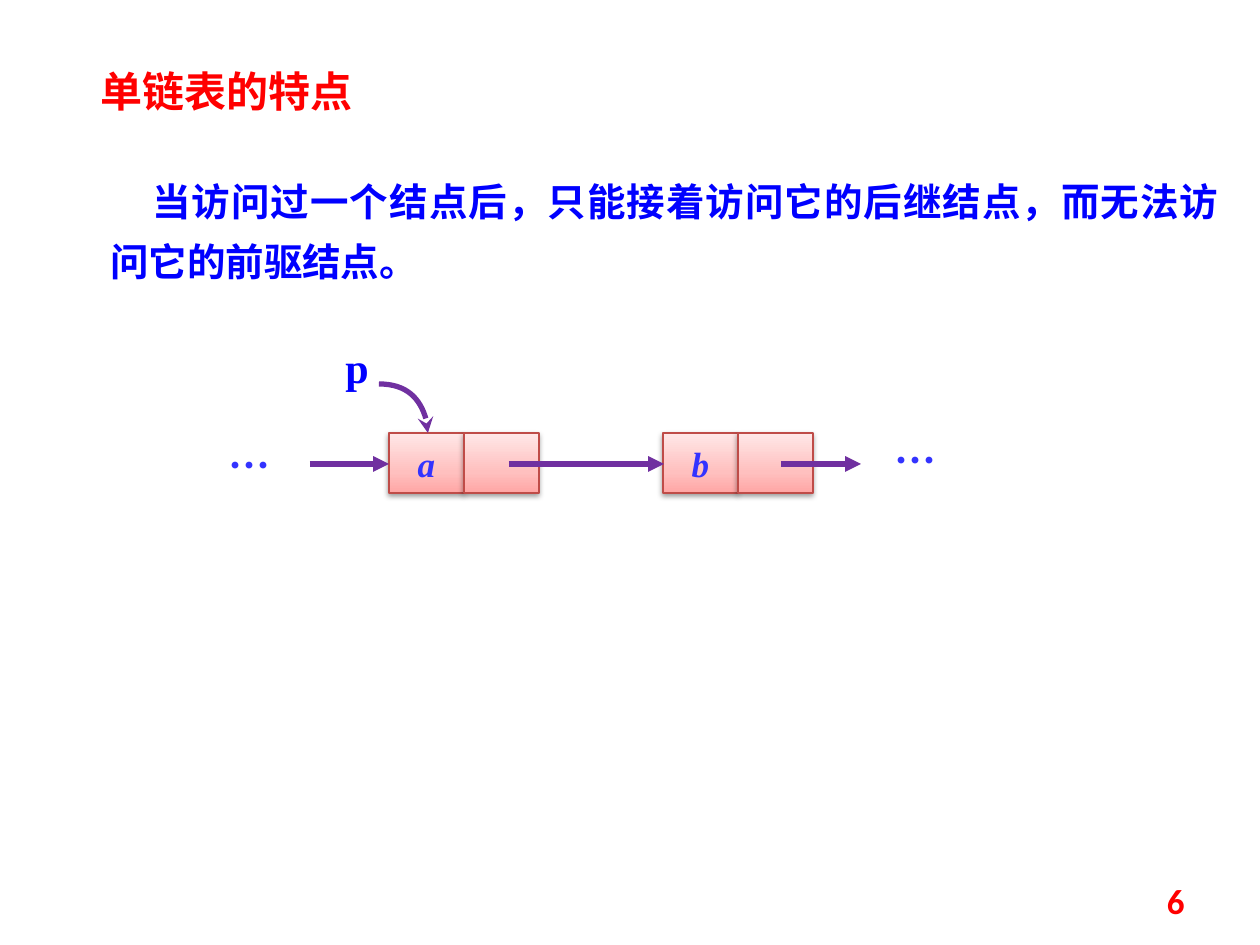
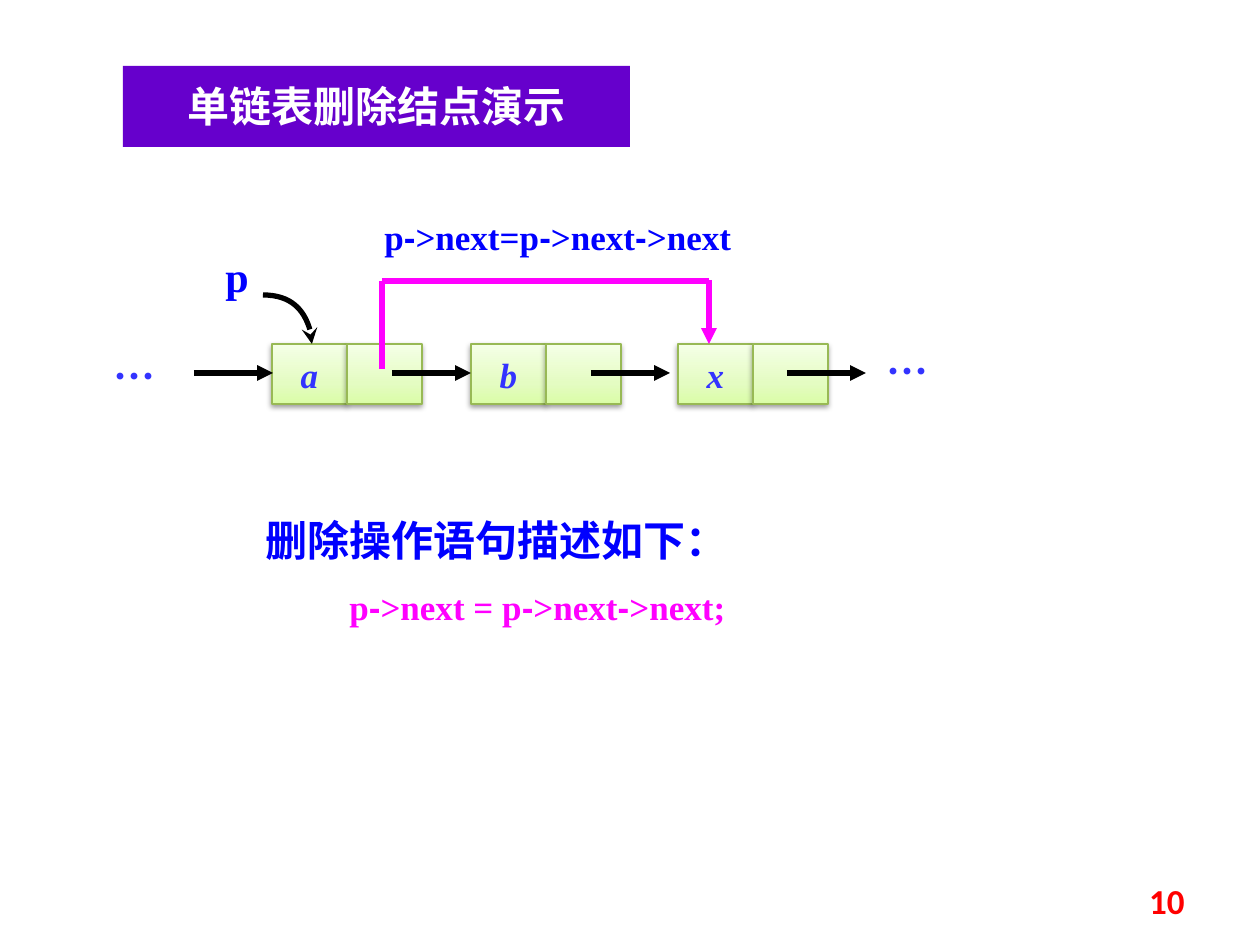
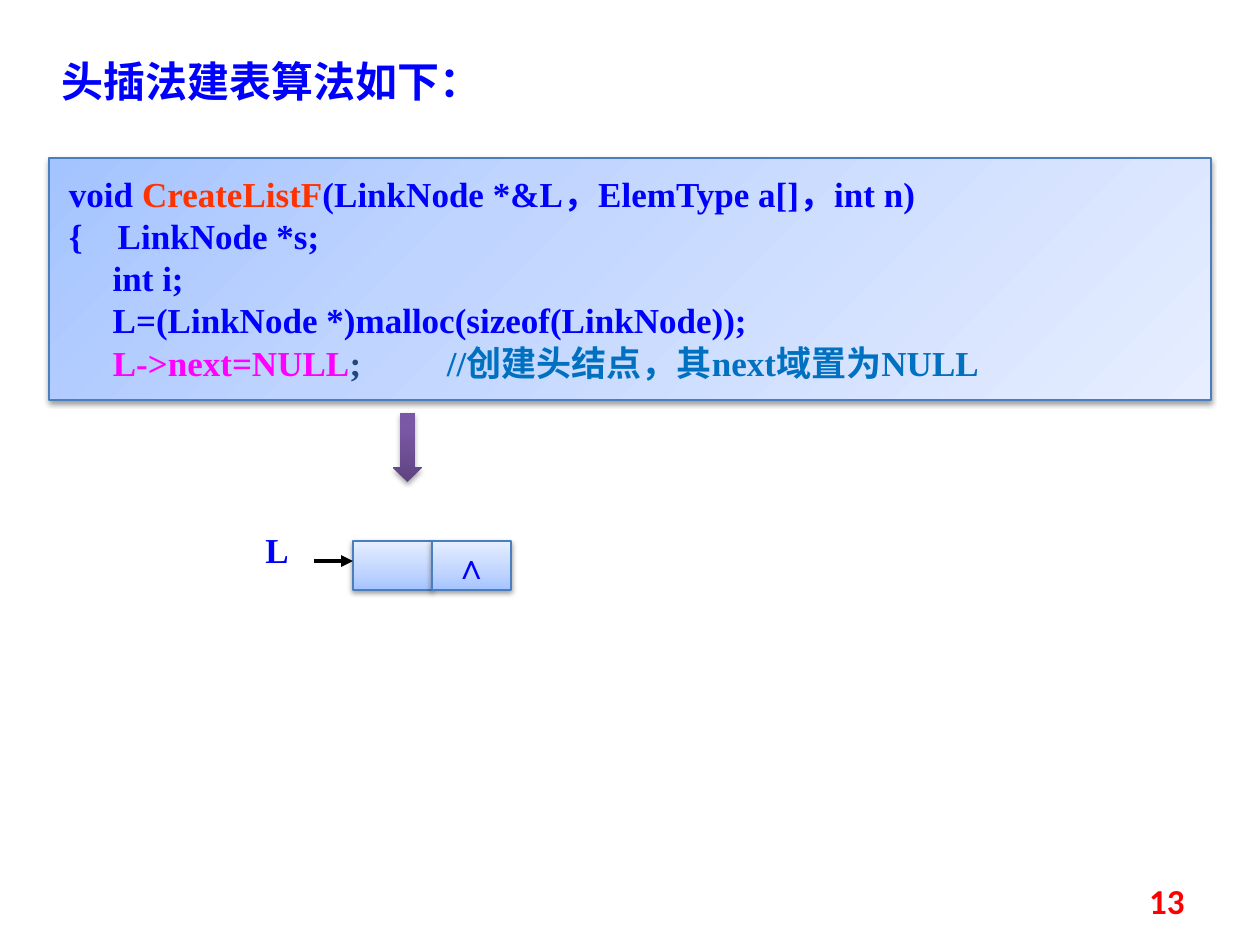
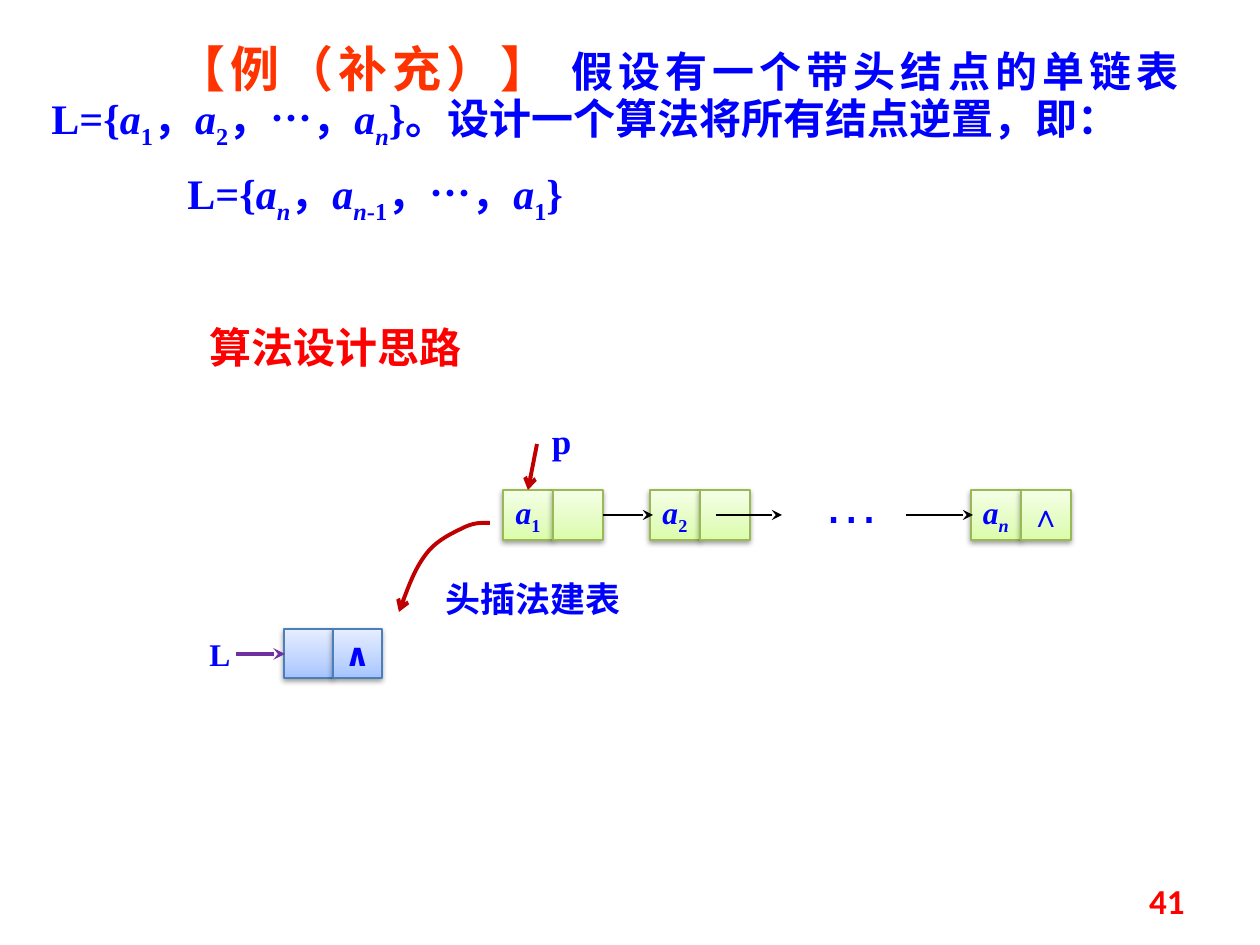
from dataclasses import dataclass, field, replace

from lxml.etree import SubElement
from pptx import Presentation
from pptx.dml.color import RGBColor
from pptx.enum.shapes import MSO_CONNECTOR, MSO_SHAPE
from pptx.enum.text import MSO_ANCHOR, PP_ALIGN
from pptx.oxml import parse_xml
from pptx.oxml.ns import nsdecls, qn
from pptx.util import Pt

PX = 914400 / 126
SLIDE_SIZE = (1260, 945)
LEFT, CENTER, RIGHT, JUSTIFY = PP_ALIGN.LEFT, PP_ALIGN.CENTER, PP_ALIGN.RIGHT, PP_ALIGN.JUSTIFY
CJK, SERIF, SANS = "Noto Sans CJK SC", "Times New Roman", "Arial"


class Theme:
    blue, node_blue, sky, navy = "0000FF", "3333FF", "0070C0", "1F497D"
    red, orange, dark_red = "FF0000", "FF3300", "C00000"
    magenta, purple, violet = "FF00FF", "7030A0", "6600CC"
    black, white = "000000", "FFFFFF"
    lead, title, body, code, small, dots = 28, 24, 22, 20, 18, 32
    thick, medium, thin = 3, 2.25, 0.75
    # name: (gradient stops, outline, shadow opacity in %)
    surfaces = {
        "pink": (((0, "FFA6A5"), (35, "FFC0BF"), (100, "FFE7E7")), "BF4C48", 38),
        "green": (((0, "DAFDA7"), (35, "E4FCC2"), (100, "F5FFE7")), "98B955", 38),
        "blue": (((0, "A4C4FF"), (35, "BFD4FF"), (100, "E6EEFF")), "4B7EBC", 38),
        "plum": (((0, "5F4480"), (80, "7B58A6"), (100, "7C57A8")), None, 35),
    }


@dataclass(frozen=True)
class Style:
    size: float
    color: str
    font: str = CJK
    east: str = CJK
    bold: bool = True
    italic: bool = False
    sub: bool = False


@dataclass
class Para:
    runs: list
    align: PP_ALIGN = LEFT
    spacing: object = None
    before: int = 0
    indent: int = 0


@dataclass
class Page:
    number: int
    nodes: list      # left, top, cell width, height, surface, data runs, link runs
    arrows: list     # x1, y1, x2, y2, colour, width, arrowhead
    curves: list     # points of a cubic path, colour, width, arrowhead
    labels: list     # box, paragraphs
    panels: list = field(default_factory=list)  # preset, box, surface, inset, paragraphs


def write(frame, paras):
    for index, para in enumerate(paras):
        paragraph = frame.paragraphs[0] if index == 0 else frame.add_paragraph()
        paragraph.alignment = para.align
        if para.spacing:
            paragraph.line_spacing = para.spacing
        if para.before:
            paragraph.space_before = Pt(para.before)
        if para.indent:
            paragraph._p.get_or_add_pPr().set("indent", str(round(para.indent * PX)))
        for text, style in para.runs:
            run = paragraph.add_run()
            run.text = text
            run.font.size = Pt(style.size)
            run.font.bold = style.bold
            run.font.italic = style.italic
            run.font.color.rgb = RGBColor.from_string(style.color)
            run.font.name = style.font
            properties = run._r.get_or_add_rPr()
            SubElement(properties, qn("a:ea"), typeface=style.east)
            if style.sub:
                properties.set("baseline", "-25000")


def stroke(outline, color, width, head):
    """Colour a connector or curve, give it an arrowhead and drop its shadow."""
    outline.line.color.rgb = RGBColor.from_string(color)
    outline.line.width = Pt(width)
    if head:
        SubElement(outline.line._get_or_add_ln(), qn("a:tailEnd"), type=head)
    SubElement(outline._element.spPr, qn("a:effectLst"))


# Text styles
blue_title = Style(Theme.title, Theme.blue)
red_title = replace(blue_title, color=Theme.red)
white_title = replace(blue_title, color=Theme.white)
body = replace(blue_title, size=Theme.body)
note = replace(blue_title, size=Theme.code)
node_dots = replace(blue_title, color=Theme.node_blue)
pointer = replace(blue_title, font=SERIF)
code = replace(pointer, size=Theme.code)
code_hyphen = replace(code, font=SANS)
pink_code = replace(code, color=Theme.magenta)
pink_hyphen = replace(code_hyphen, color=Theme.magenta)
navy_code = replace(code, color=Theme.navy)
small = replace(code, size=Theme.small)
small_var = replace(small, italic=True)
node_var = replace(code, color=Theme.node_blue, italic=True)
null_link = replace(code, east=SERIF)
var = replace(pointer, italic=True)
var_sub = replace(var, sub=True)
number_sub = replace(pointer, sub=True)
lead = Style(Theme.lead, Theme.orange)
lead_serif = replace(lead, font=SERIF)
page_number = Style(Theme.code, Theme.red, "Calibri")

dots = [Para([("…", node_dots)], CENTER)]
p_pointer = [Para([("p", pointer)])]
elbow = ((0, 0), (28, 0), (49, 22), (49, 49))

features = Page(
    number=6,
    nodes=[(x, 433, 75, 60, "pink", [(name, node_var)], [])
           for x, name in ((389, "a"), (663, "b"))],
    arrows=[(x1, 464, x2, 464, Theme.purple, Theme.thick, "triangle")
            for x1, x2 in ((310, 389), (509, 664), (781, 861))],
    curves=[([(379 + x, 384 + y) for x, y in elbow], Theme.purple, Theme.thick, "stealth")],
    labels=[
        ((98, 158, 1134, 134), [Para(
            [("当访问过一个结点后，只能接着访问它的后继结点，而无法访问它的前驱结点。", body)],
            JUSTIFY, 1.3, indent=42)]),
        ((88, 59, 344, 63), [Para([("单链表的特点", red_title)])]),
        ((876, 428, 79, 63), dots),
        ((210, 433, 79, 63), dots),
        ((333, 335, 59, 63), p_pointer),
    ],
)

deletion = Page(
    number=10,
    nodes=[(x, 344, 75, 60, "green", [(name, node_var)], [])
           for x, name in ((272, "a"), (471, "b"), (678, "x"))],
    arrows=[(x, 373, x + 79, 373, Theme.black, Theme.thick, "triangle")
            for x in (194, 392, 591, 787)] + [
        (382, 369, 382, 281, Theme.magenta, Theme.thick, None),
        (709, 280, 709, 344, Theme.magenta, Theme.thick, "triangle"),
        (382, 281, 709, 281, Theme.magenta, Theme.thick, None),
    ],
    curves=[([(263 + x, 295 + y) for x, y in elbow], Theme.black, Theme.thick, "stealth")],
    labels=[
        ((868, 339, 79, 63), dots),
        ((95, 344, 79, 63), dots),
        ((213, 244, 59, 63), p_pointer),
        ((372, 209, 515, 54), [Para([
            ("p", code), ("-", code_hyphen), (">next=p", code), ("-", code_hyphen),
            (">next", code), ("-", code_hyphen), (">next", code)])]),
        ((253, 483, 675, 165), [
            Para([("删除操作语句描述如下：", pointer)], spacing=1.5),
            Para([("p", pink_code), ("-", pink_hyphen), (">next = p", pink_code),
                  ("-", pink_hyphen), (">next", pink_code), ("-", pink_hyphen),
                  (">next;", pink_code)], spacing=1.5, indent=84),
        ]),
    ],
    panels=[(MSO_SHAPE.RECTANGLE, (123, 66, 507, 81), Theme.violet, (23, 15),
             [Para([("单链表删除结点演示", white_title)], CENTER)])],
)

head_insertion = Page(
    number=13,
    nodes=[(353, 541, 79, 49, "blue", [], [("∧", null_link)])],
    arrows=[(314, 561, 353, 561, Theme.black, Theme.medium, "triangle")],
    curves=[],
    labels=[
        ((49, 49, 709, 63), [Para([("头插法建表算法如下：", blue_title)])]),
        ((253, 522, 69, 54), [Para([("L", code)])]),
    ],
    panels=[
        (MSO_SHAPE.RECTANGLE, (49, 158, 1162, 242), "blue", (20, 15), [
            Para([("void ", code), ("CreateListF", replace(code, color=Theme.orange)),
                  ("(LinkNode *&L，ElemType a[]，int n)", code)]),
            Para([("{    LinkNode *s;", code)]),
            Para([("     int i;", code)]),
            Para([("     L=(LinkNode *)malloc(sizeof(LinkNode));", code)]),
            Para([("     ", navy_code), ("L->next=NULL", pink_code), (";\t\t", navy_code),
                  ("//创建头结点，其next域置为NULL", replace(code, color=Theme.sky))]),
        ]),
        (MSO_SHAPE.DOWN_ARROW, (393, 413, 29, 69), "plum", (0, 0), []),
    ],
)

small_sub = replace(small, sub=True)
reversal = Page(
    number=41,
    nodes=[
        (284, 629, 49, 49, "blue", [],
         [("∧", replace(small, font="DejaVu Sans", east="DejaVu Sans"))]),
        (503, 490, 50, 50, "green", [("a", small_var), ("1", small_sub)], []),
        (650, 490, 50, 50, "green", [("a", small_var), ("2", small_sub)], []),
        (971, 490, 50, 50, "green", [("a", small_var), ("n", replace(small_sub, italic=True))],
         [("∧", replace(null_link, size=Theme.small))]),
    ],
    arrows=[(x1, 515, x2, 515, Theme.black, Theme.thin, "stealth")
            for x1, x2 in ((603, 653), (716, 782), (906, 973))] + [
        (236, 654, 285, 654, Theme.purple, Theme.medium, "stealth"),
        (537, 444, 528, 490, Theme.dark_red, Theme.medium, "arrow"),
    ],
    curves=[([(490, 523), (483, 523), (476, 522), (465, 527), (455, 532), (438, 539),
              (427, 553), (416, 567), (407, 590), (399, 612)],
             Theme.dark_red, Theme.medium, "arrow")],
    labels=[
        ((39, 39, 1152, 195), [
            Para([("【", lead), ("例（补充）", lead_serif), ("】 ", lead), ("假设", blue_title),
                  ("有一个带头结点的单链表L={", pointer), ("a", var), ("1", number_sub),
                  ("，", pointer), ("a", var), ("2", number_sub), ("，…，", pointer),
                  ("a", var), ("n", var_sub),
                  ("}。设计一个算法将所有结点逆置，即：", pointer)],
                 JUSTIFY, Pt(30), indent=125),
            Para([("L={", pointer), ("a", var), ("n", var_sub), ("，", pointer), ("a", var),
                  ("n", var_sub), ("-1", number_sub), ("，…，", pointer), ("a", var),
                  ("1", number_sub), ("}", pointer)], JUSTIFY, before=10, indent=136),
        ]),
        ((197, 629, 37, 50), [Para([("L", small)])]),
        ((811, 461, 100, 79),
         [Para([("…", Style(Theme.dots, Theme.blue, SANS, SANS, bold=False))])]),
        ((197, 315, 387, 63), [Para([("算法设计思路", red_title)])]),
        ((527, 413, 69, 55), [Para([("p", code)], CENTER)]),
        ((433, 571, 258, 54), [Para([("头插法建表", note)])]),
    ],
)

deck = Presentation()
deck.slide_width, deck.slide_height = (round(side * PX) for side in SLIDE_SIZE)

for page in (features, deletion, head_insertion, reversal):
    slide = deck.slides.add_slide(deck.slide_layouts[6])

    # A list node is a data cell and a link cell side by side
    cells = [(MSO_SHAPE.RECTANGLE, (x + i * width, y, width, height), surface, None,
              [Para(runs, CENTER)] if runs else [])
             for x, y, width, height, surface, *contents in page.nodes
             for i, runs in enumerate(contents)]

    for preset, box, surface, inset, paras in cells + page.panels:
        block = slide.shapes.add_shape(preset, *(round(side * PX) for side in box))
        properties = block._element.spPr
        if surface in Theme.surfaces:
            stops, edge, opacity = Theme.surfaces[surface]
            stop_xml = "".join(f'<a:gs pos="{pos * 1000}"><a:srgbClr val="{color}"/></a:gs>'
                               for pos, color in stops)
            direction = '<a:lin ang="16200000" scaled="0"/>'
            if inset and paras:
                direction = ('<a:path path="circle">'
                             '<a:fillToRect r="100000" b="100000"/></a:path>')
            properties.find(qn("a:prstGeom")).addnext(parse_xml(
                f'<a:gradFill {nsdecls("a")} rotWithShape="1">'
                f'<a:gsLst>{stop_xml}</a:gsLst>{direction}</a:gradFill>'))
            if edge:
                block.line.color.rgb = RGBColor.from_string(edge)
                block.line.width = Pt(Theme.thin)
            else:
                block.line.fill.background()
            properties.append(parse_xml(
                f'<a:effectLst {nsdecls("a")}><a:outerShdw blurRad="{Pt(3.1)}" '
                f'dist="{Pt(1.6)}" dir="5400000" rotWithShape="0"><a:srgbClr val="000000">'
                f'<a:alpha val="{opacity * 1000}"/></a:srgbClr></a:outerShdw></a:effectLst>'))
        else:
            block.fill.solid()
            block.fill.fore_color.rgb = RGBColor.from_string(surface)
            block.line.fill.background()
            block.shadow.inherit = False
        frame = block.text_frame
        frame.word_wrap = inset is not None
        frame.vertical_anchor = MSO_ANCHOR.TOP if inset else MSO_ANCHOR.MIDDLE
        if inset:
            frame.margin_left = frame.margin_right = round(inset[0] * PX)
            frame.margin_top = frame.margin_bottom = round(inset[1] * PX)
        write(frame, paras)

    for *ends, color, width, head in page.arrows:
        arrow = slide.shapes.add_connector(
            MSO_CONNECTOR.STRAIGHT, *(round(end * PX) for end in ends))
        stroke(arrow, color, width, head)

    for points, color, width, head in page.curves:
        builder = slide.shapes.build_freeform(*points[0], scale=PX)
        builder.add_line_segments(points[1:], close=False)
        curve = builder.convert_to_shape()
        curve.fill.background()
        # Every three straight segments become one cubic segment
        segments = list(curve._element.iter(qn("a:lnTo")))
        for start in range(0, len(segments), 3):
            cubic = parse_xml(f'<a:cubicBezTo {nsdecls("a")}/>')
            segments[start].addprevious(cubic)
            for segment in segments[start:start + 3]:
                cubic.append(segment[0])
                segment.getparent().remove(segment)
        stroke(curve, color, width, head)

    footer = ((903, 876, 294, 50), [Para([(str(page.number), page_number)], RIGHT)])
    for box, paras in page.labels + [footer]:
        label = slide.shapes.add_textbox(*(round(side * PX) for side in box))
        label.text_frame.word_wrap = True
        if paras is footer[1]:
            label.text_frame.vertical_anchor = MSO_ANCHOR.MIDDLE
        write(label.text_frame, paras)

deck.save("out.pptx")
